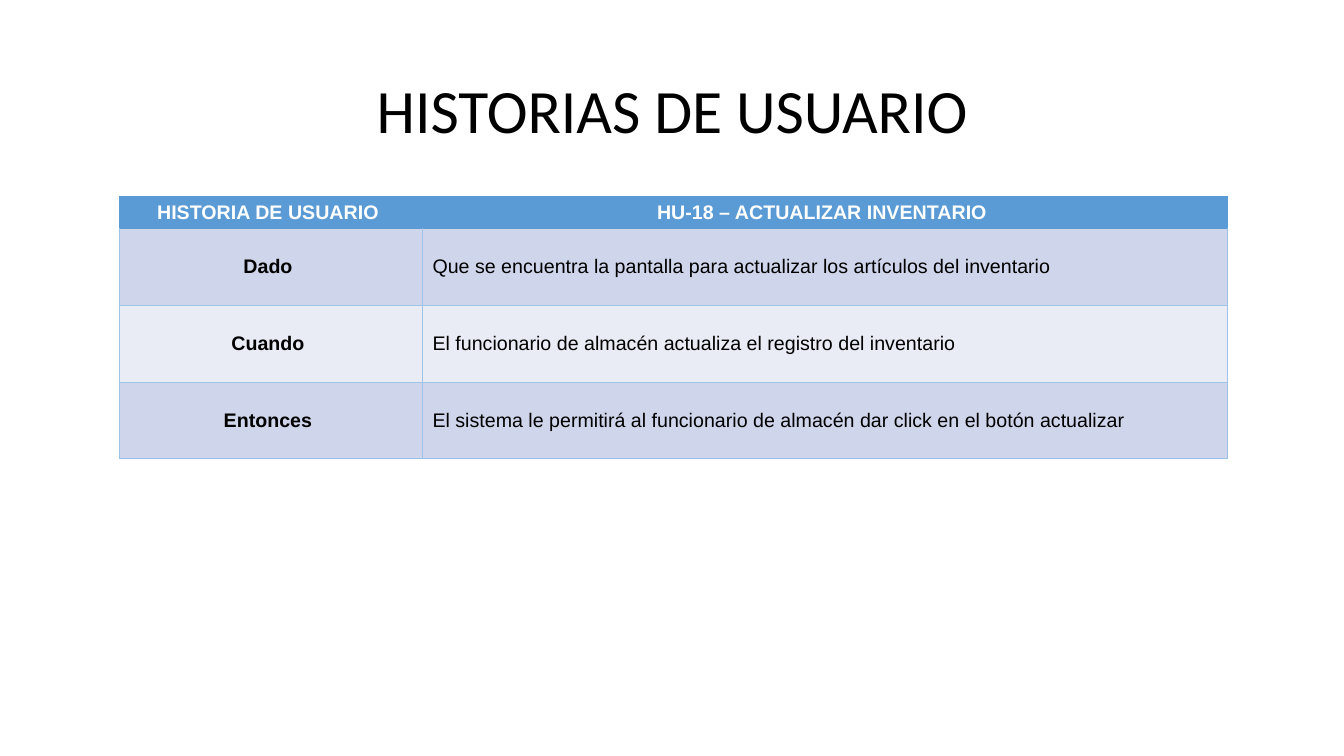
from pptx import Presentation
from pptx import util as u
from pptx.dml.color import RGBColor
from pptx.enum import text
from pptx.oxml import parse_xml
from pptx.oxml.ns import nsdecls

HEADER_BLUE = "5B9BD5"
BORDER_BLUE = "9CC2E5"
BAND_FILLS = ["CFD5EA", "E9EBF5"]
HEADINGS = ["HISTORIA DE USUARIO ", "HU-18 – ACTUALIZAR INVENTARIO "]
STEPS = [
    ("Dado ", "Que se encuentra la pantalla para actualizar los artículos del inventario"),
    ("Cuando ", "El funcionario de almacén actualiza el registro del inventario"),
    ("Entonces ", "El sistema le permitirá al funcionario de almacén dar click en el botón actualizar"),
]
COLUMN_WIDTHS = [3.01, 7.98]
HEADER_HEIGHT = 0.32
STEP_HEIGHT = 0.76


def color(value):
    return RGBColor.from_string(value)


def format_paragraph(para, font, size, font_color, align, bold=False):
    para.alignment = align
    para.font.name = font
    para.font.size = u.Pt(size)
    para.font.bold = bold
    para.font.color.rgb = color(font_color)


def set_borders(cell, sides):
    properties = cell._tc.get_or_add_tcPr()
    for index, (side, line_color) in enumerate(sides.items()):
        properties.insert(index, parse_xml(
            f'<a:ln{side} {nsdecls("a")} w="9525"><a:solidFill>'
            f'<a:srgbClr val="{line_color}"/></a:solidFill></a:ln{side}>'))


def fill_cell(cell, words, fill, font_color, align, bold, borders):
    cell.text = words
    cell.vertical_anchor = text.MSO_ANCHOR.MIDDLE
    cell.fill.solid()
    cell.fill.fore_color.rgb = color(fill)
    format_paragraph(cell.text_frame.paragraphs[0], "Arial", 14, font_color, align, bold)
    set_borders(cell, borders)


def add_title(page, words):
    title = page.shapes.title
    title.left, title.top = u.Inches(0.92), u.Inches(0.4)
    title.width, title.height = u.Inches(11.5), u.Inches(1.45)
    title.text = words
    title.text_frame.vertical_anchor = text.MSO_ANCHOR.MIDDLE
    para = title.text_frame.paragraphs[0]
    format_paragraph(para, "Calibri", 44, "000000", text.PP_ALIGN.CENTER)
    para.line_spacing = 0.9


def add_story_table(page):
    heights = [HEADER_HEIGHT] + [STEP_HEIGHT] * len(STEPS)
    table = page.shapes.add_table(
        len(heights), len(COLUMN_WIDTHS), u.Inches(1.18), u.Inches(1.95),
        u.Inches(sum(COLUMN_WIDTHS)), u.Inches(sum(heights))).table
    for column, width in zip(table.columns, COLUMN_WIDTHS):
        column.width = u.Inches(width)
    for row, height in zip(table.rows, heights):
        row.height = u.Inches(height)

    center, justify = text.PP_ALIGN.CENTER, text.PP_ALIGN.JUSTIFY
    header_borders = dict.fromkeys("LRTB", HEADER_BLUE)
    for index, heading in enumerate(HEADINGS):
        fill_cell(table.cell(0, index), heading, HEADER_BLUE, "FFFFFF", center, True, header_borders)
    for row, (keyword, description) in enumerate(STEPS, 1):
        fill = BAND_FILLS[(row - 1) % 2]
        borders = dict.fromkeys("LRTB", BORDER_BLUE)
        if row == 1:
            borders["T"] = HEADER_BLUE
        fill_cell(table.cell(row, 0), keyword, fill, "000000", center, True, borders)
        fill_cell(table.cell(row, 1), description, fill, "000000", justify, False, borders)


def main():
    deck = Presentation()
    deck.slide_width, deck.slide_height = u.Inches(13.33), u.Inches(7.5)
    page = deck.slides.add_slide(deck.slide_layouts[5])
    add_title(page, "HISTORIAS DE USUARIO")
    add_story_table(page)
    deck.save("out.pptx")


if __name__ == "__main__":
    main()
